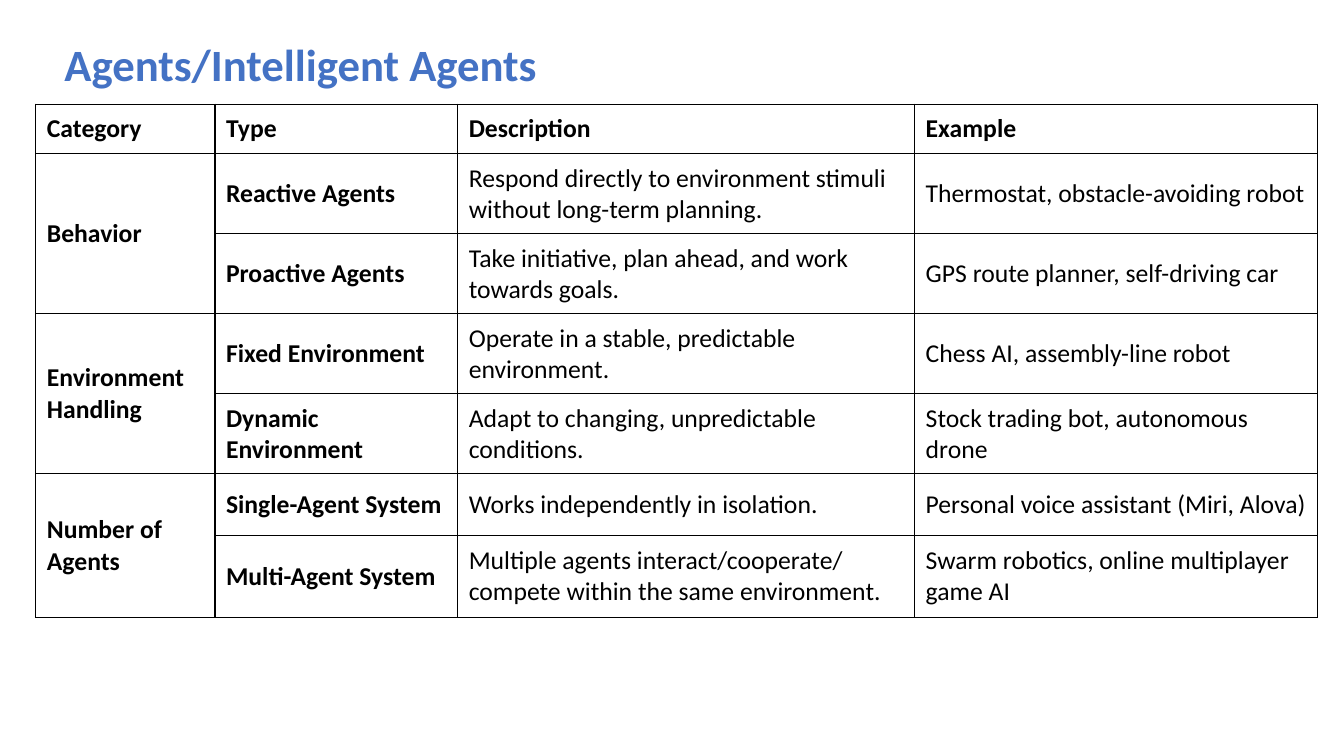
from lxml.etree import fromstring
from pptx import Presentation
from pptx.dml.color import RGBColor
from pptx.enum.text import MSO_ANCHOR, MSO_AUTO_SIZE
from pptx.util import Pt

TITLE = "Agents/Intelligent Agents"
HEADS = ["Category", "Type", "Description", "Example"]
GROUPS = [
    ("Behavior", [
        ("Reactive Agents",
         "Respond directly to environment stimuli without long-term planning.",
         "Thermostat, obstacle-avoiding robot"),
        ("Proactive Agents",
         "Take initiative, plan ahead, and work towards goals.",
         "GPS route planner, self-driving car"),
    ]),
    ("Environment Handling", [
        ("Fixed Environment",
         "Operate in a stable, predictable environment.",
         "Chess AI, assembly-line robot"),
        ("Dynamic Environment",
         "Adapt to changing, unpredictable conditions.",
         "Stock trading bot, autonomous drone"),
    ]),
    ("Number of Agents", [
        ("Single-Agent System",
         "Works independently in isolation.",
         "Personal voice assistant (Miri, Alova)"),
        ("Multi-Agent System",
         "Multiple agents interact/cooperate/ compete within the same environment.",
         "Swarm robotics, online multiplayer game AI"),
    ]),
]
WIDTHS = [139.7, 189.4, 356.4, 313.9]
HEIGHTS = [32.4] + [48.2] * 5 + [64.1]
BLUE, BLACK = "4472C4", "000000"
NS = "http://schemas.openxmlformats.org/drawingml/2006/main"


def style(par, size, color, bold):
    par.font.name = "Calibri"
    par.font.size = Pt(size)
    par.font.bold = bold
    par.font.color.rgb = RGBColor.from_string(color)


def border(cell, color, width):
    """Draw a solid line on all four sides of a cell."""
    props = cell._tc.get_or_add_tcPr()
    for spot, side in enumerate("LRTB"):
        props.insert(spot, fromstring(
            f'<a:ln{side} xmlns:a="{NS}" w="{Pt(width)}"><a:solidFill>'
            f'<a:srgbClr val="{color}"/></a:solidFill></a:ln{side}>'))


def fill_cell(cell, text, bold):
    cell.text = text
    cell.vertical_anchor = MSO_ANCHOR.MIDDLE
    cell.margin_left, cell.margin_right = Pt(8.6), Pt(5)
    cell.margin_top = cell.margin_bottom = Pt(7.2)
    cell.fill.background()
    border(cell, BLACK, 1)
    style(cell.text_frame.paragraphs[0], 20, BLACK, bold)


def add_title(slide):
    box = slide.shapes.add_textbox(Pt(43.2), Pt(25.2), Pt(522), Pt(49.7))
    frame = box.text_frame
    frame.word_wrap = True
    frame.auto_size = MSO_AUTO_SIZE.SHAPE_TO_FIT_TEXT
    frame.text = TITLE
    style(frame.paragraphs[0], 34.9, BLUE, True)


def add_grid(slide):
    rows = [HEADS]
    for group, kinds in GROUPS:
        for i, kind in enumerate(kinds):
            rows.append([group if i == 0 else "", *kind])
    table = slide.shapes.add_table(
        len(rows), len(HEADS), Pt(28), Pt(81.2),
        Pt(sum(WIDTHS)), Pt(sum(HEIGHTS))).table
    table.first_row = table.horz_banding = False
    for col, width in zip(table.columns, WIDTHS):
        col.width = Pt(width)
    for row, height in zip(table.rows, HEIGHTS):
        row.height = Pt(height)
    for r, texts in enumerate(rows):
        for c, text in enumerate(texts):
            fill_cell(table.cell(r, c), text, r == 0 or c < 2)
    top = 1
    for _, kinds in GROUPS:
        end = top + len(kinds)
        table.cell(top, 0).merge(table.cell(end - 1, 0))
        top = end


def main():
    deck = Presentation()
    deck.slide_width, deck.slide_height = Pt(1048.3), Pt(589.7)
    slide = deck.slides.add_slide(deck.slide_layouts[6])
    add_title(slide)
    add_grid(slide)
    deck.save("out.pptx")


if __name__ == "__main__":
    main()
